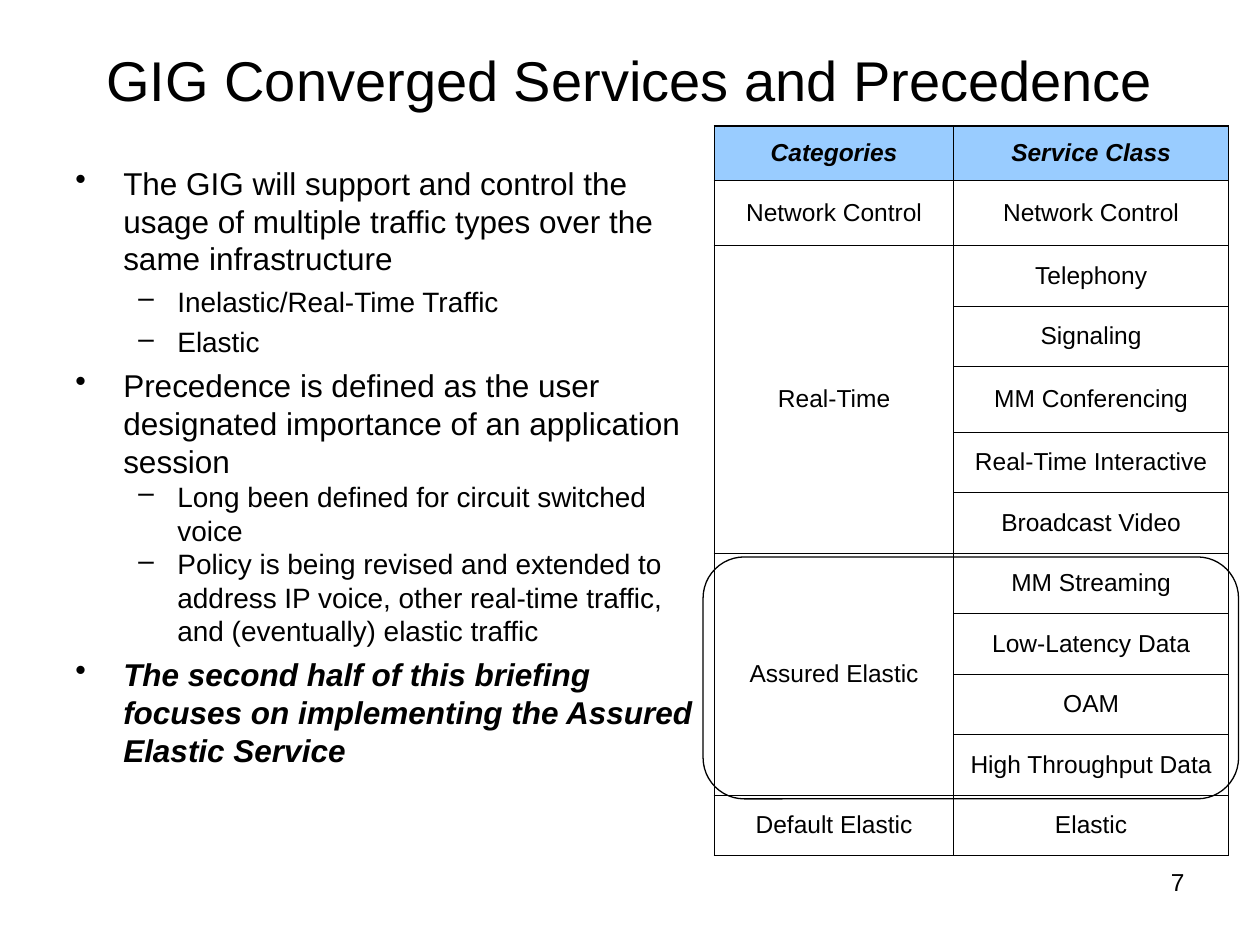
import pptx
import pptx.util
import pptx.dml.color
import pptx.enum.shapes
import pptx.enum.text
import pptx.oxml.ns
from lxml import etree

Inches = pptx.util.Inches
Pt = pptx.util.Pt
ALIGN = pptx.enum.text.PP_ALIGN
ANCHOR = pptx.enum.text.MSO_ANCHOR
COLORS = {"ink": "000000", "header": "99CCFF"}
FONT = "Arial"
OUTER, INNER = 1.08, 0.45

ROW_HEIGHTS = [0.43, 0.52, 0.48, 0.48, 0.52] + [0.48] * 7
COL_WIDTHS = [1.9, 2.18]
CATEGORIES = [
    ("Network Control", ["Network Control"]),
    ("Real-Time", ["Telephony", "Signaling", "MM Conferencing",
                   "Real-Time Interactive", "Broadcast Video"]),
    ("Assured Elastic", ["MM Streaming", "Low-Latency Data", "OAM",
                         "High Throughput Data"]),
    ("Default Elastic", ["Elastic"]),
]
LEVELS = [
    {"char": "•", "left": 0.38, "hang": 0.38, "size": 18},
    {"char": "–", "left": 0.81, "hang": 0.31, "size": 16},
]
BULLETS = [
    (0, 0, False, "The GIG will support and control the usage of multiple "
                  "traffic types over the same infrastructure"),
    (1, 4, False, "Inelastic/Real-Time Traffic"),
    (1, 4, False, "Elastic"),
    (0, 4.5, False, "Precedence is defined as the user designated importance "
                    "of an application session"),
    (1, 0, False, "Long been defined for circuit switched voice"),
    (1, 0, False, "Policy is being revised and extended to address IP voice, "
                  "other real-time traffic, and (eventually) elastic traffic"),
    (0, 4.5, True, "The second half of this briefing focuses on implementing "
                   "the Assured Elastic Service"),
]


def rgb(name):
    return pptx.dml.color.RGBColor.from_string(COLORS[name])


def add_run(p, text, size, strong=False):
    r = p.add_run()
    r.text = text
    r.font.name = FONT
    r.font.size = Pt(size)
    r.font.bold = r.font.italic = strong
    r.font.color.rgb = rgb("ink")


def add_text_frame(s, box, anchor=ANCHOR.TOP):
    tf = s.shapes.add_textbox(*map(Inches, box)).text_frame
    tf.word_wrap = True
    tf.vertical_anchor = anchor
    return tf


def add_line_of_text(s, box, text, size, align, anchor=ANCHOR.TOP):
    p = add_text_frame(s, box, anchor).paragraphs[0]
    p.alignment = align
    add_run(p, text, size)


def set_bullet(p, level):
    style = LEVELS[level]
    p.level = level
    pPr = p._p.get_or_add_pPr()
    pPr.set("marL", str(Inches(style["left"])))
    pPr.set("indent", str(-Inches(style["hang"])))
    bullet = etree.SubElement(pPr, pptx.oxml.ns.qn("a:buChar"))
    bullet.set("char", style["char"])


def add_bullets(s, box):
    tf = add_text_frame(s, box)
    for i, (level, before, strong, text) in enumerate(BULLETS):
        p = tf.add_paragraph() if i else tf.paragraphs[0]
        set_bullet(p, level)
        p.space_before = Pt(before)
        add_run(p, text, LEVELS[level]["size"], strong)


def set_borders(cell, widths):
    qn = pptx.oxml.ns.qn
    tcPr = cell._tc.get_or_add_tcPr()
    for side in "LRTB":
        ln = etree.SubElement(tcPr, qn("a:ln" + side))
        ln.set("w", str(Pt(widths[side])))
        fill = etree.SubElement(ln, qn("a:solidFill"))
        etree.SubElement(fill, qn("a:srgbClr")).set("val", COLORS["ink"])


def style_cell(cell, row, col):
    set_borders(cell, {
        "L": OUTER if col == 0 else INNER,
        "R": OUTER if col == len(COL_WIDTHS) - 1 else INNER,
        "T": OUTER if row == 0 else INNER,
        "B": OUTER if row == len(ROW_HEIGHTS) - 1 else INNER,
    })
    if row == 0:
        cell.fill.solid()
        cell.fill.fore_color.rgb = rgb("header")
    else:
        cell.fill.background()
    cell.vertical_anchor = ANCHOR.MIDDLE


def write_cell(cell, text, header=False):
    p = cell.text_frame.paragraphs[0]
    p.alignment = ALIGN.CENTER
    add_run(p, text, 14, header)


def add_service_table(s, box):
    table = s.shapes.add_table(
        len(ROW_HEIGHTS), len(COL_WIDTHS), *map(Inches, box)).table
    table.first_row = table.horz_banding = False
    for column, width in zip(table.columns, COL_WIDTHS):
        column.width = Inches(width)
    for i, height in enumerate(ROW_HEIGHTS):
        table.rows[i].height = Inches(height)
        for j in range(len(COL_WIDTHS)):
            style_cell(table.cell(i, j), i, j)
    for j, heading in enumerate(["Categories", "Service Class"]):
        write_cell(table.cell(0, j), heading, True)
    row = 1
    for category, services in CATEGORIES:
        first = table.cell(row, 0)
        if len(services) > 1:
            first.merge(table.cell(row + len(services) - 1, 0))
        write_cell(first, category)
        for service in services:
            write_cell(table.cell(row, 1), service)
            row += 1


def add_highlight(s, box):
    sp = s.shapes.add_shape(
        pptx.enum.shapes.MSO_SHAPE.ROUNDED_RECTANGLE, *map(Inches, box))
    sp.adjustments[0] = 0.17
    sp.shadow.inherit = False
    sp.fill.background()
    sp.line.color.rgb = rgb("ink")
    sp.line.width = Pt(0.75)


def main():
    prs = pptx.Presentation()
    prs.slide_width, prs.slide_height = Inches(10), Inches(7.5)
    s = prs.slides.add_slide(prs.slide_layouts[6])
    add_line_of_text(s, (0.5, 0, 9, 1.25),
                     "GIG Converged Services and Precedence",
                     32, ALIGN.CENTER, ANCHOR.MIDDLE)
    add_service_table(s, (5.67, 1, 4.08, 5.79))
    add_bullets(s, (0.5, 1.25, 5.25, 4.95))
    add_highlight(s, (5.58, 4.42, 4.25, 1.92))
    add_line_of_text(s, (7.17, 6.83, 2.33, 0.52), "7", 14, ALIGN.RIGHT)
    prs.save("out.pptx")


if __name__ == "__main__":
    main()
